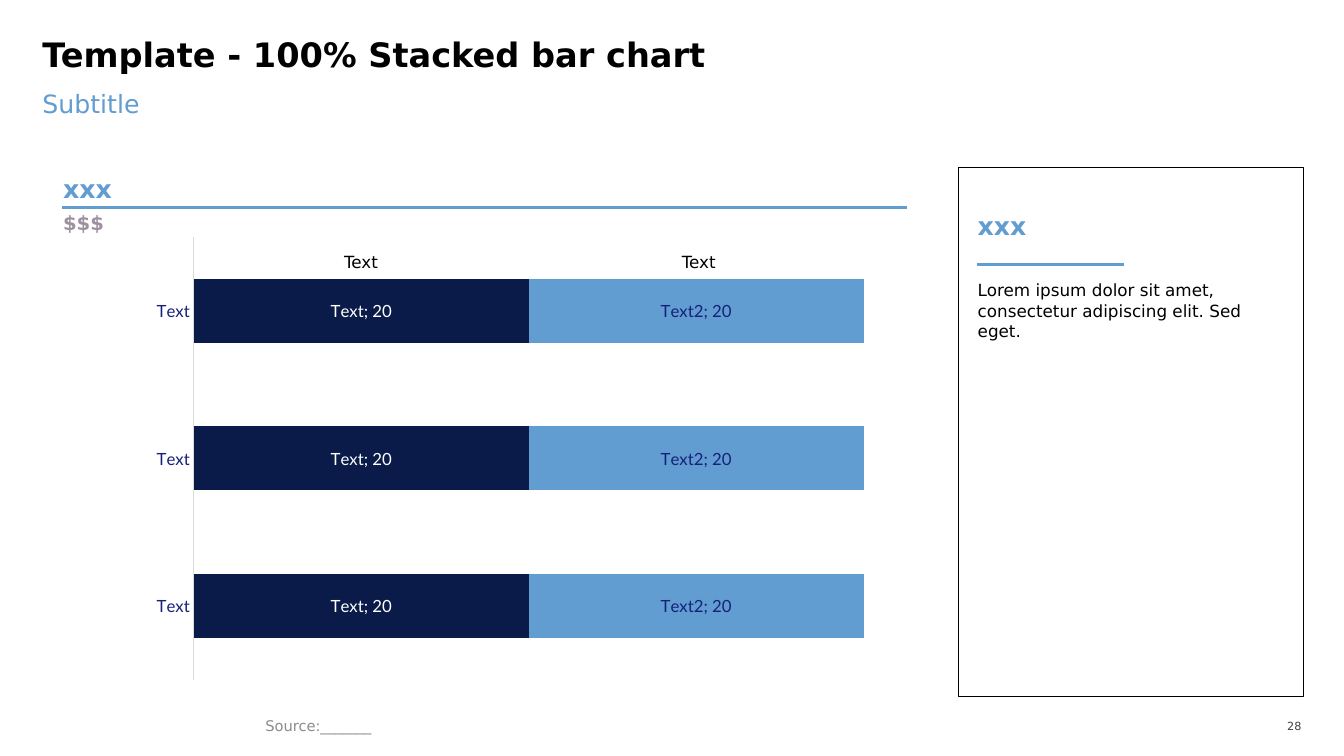
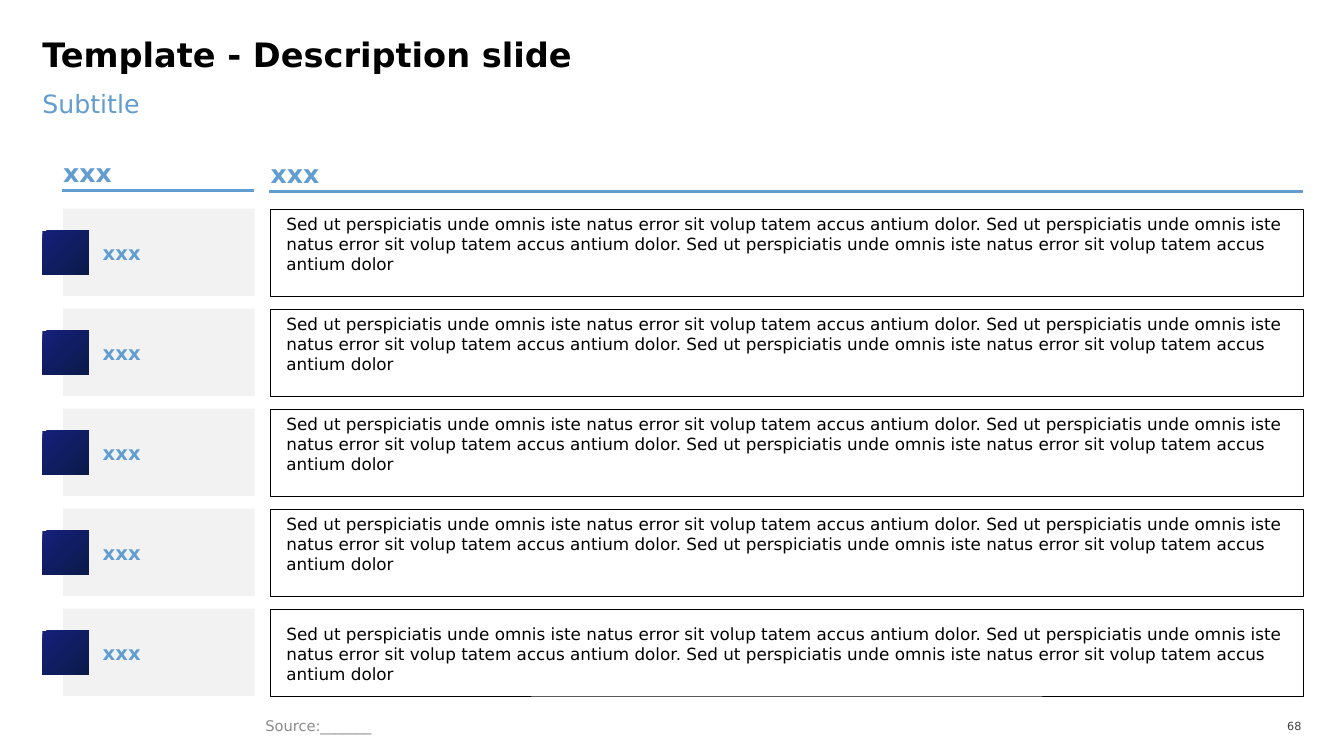
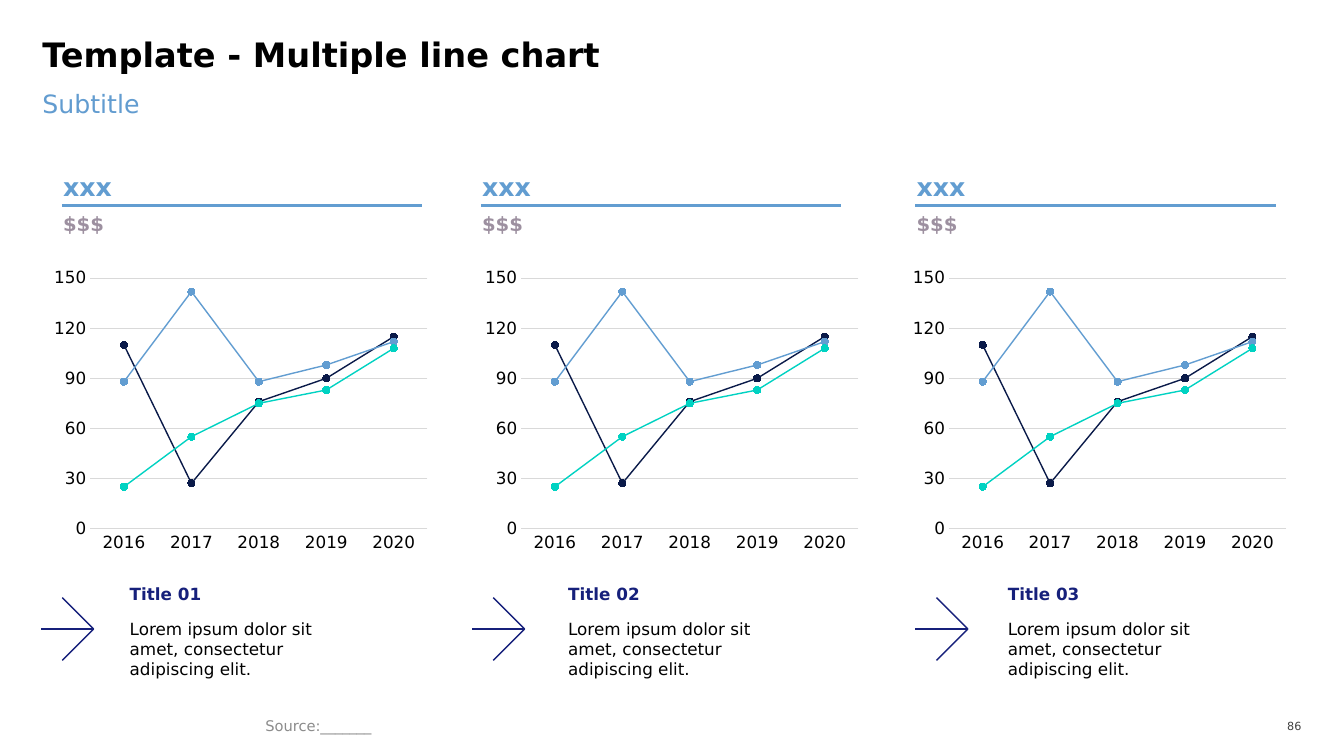
"""Build three template slides: stacked bar chart, description rows and line charts."""
from lxml import etree
from pptx import Presentation
from pptx.chart.data import CategoryChartData
from pptx.dml.color import RGBColor
from pptx.enum.chart import XL_CHART_TYPE, XL_MARKER_STYLE, XL_TICK_MARK
from pptx.enum.shapes import MSO_CONNECTOR, MSO_SHAPE
from pptx.enum.text import MSO_ANCHOR, PP_ALIGN
from pptx.oxml import parse_xml
from pptx.oxml.ns import nsdecls, qn
from pptx.util import Cm, Pt

LEFT, CENTER, RIGHT = PP_ALIGN.LEFT, PP_ALIGN.CENTER, PP_ALIGN.RIGHT
TOP, MIDDLE, BOTTOM = MSO_ANCHOR.TOP, MSO_ANCHOR.MIDDLE, MSO_ANCHOR.BOTTOM
STRAIGHT, RECT = MSO_CONNECTOR.STRAIGHT, MSO_SHAPE.RECTANGLE
BARS, LINES = XL_CHART_TYPE.BAR_STACKED_100, XL_CHART_TYPE.LINE_MARKERS
NO_TICK, CIRCLE = XL_TICK_MARK.NONE, XL_MARKER_STYLE.CIRCLE

FONT = "DejaVu Sans"
CHART_FONT = "Lato"
COLORS = {
    name: RGBColor.from_string(value)
    for name, value in {
        "black": "000000",
        "white": "FFFFFF",
        "number": "404040",
        "subtitle": "629CD0",
        "sky": "629DD1",
        "navy": "0A1A49",
        "indigo": "16207B",
        "teal": "00D2C2",
        "mauve": "9D90A0",
        "source": "8C8C8C",
        "panel": "F2F2F2",
        "grid": "D9D9D9",
    }.items()
}
HEADING = {"size": 18, "color": "sky", "bold": True, "anchor": BOTTOM}
UNIT = {"size": 14, "color": "mauve", "bold": True}
CAPTION_INSET = (0, 0.13, 0.25, 0.13)


def write(s, text, x, y, w, h, size=12, color="black", bold=False, align=LEFT, anchor=TOP,
          inset=(0, 0, 0, 0), spacing=None, fill=None, line=None):
    box = Cm(x), Cm(y), Cm(w), Cm(h)
    if fill or line:
        sp = s.shapes.add_shape(RECT, *box)
        sp.shadow.inherit = False
        sp.fill.background()
        sp.line.fill.background()
    else:
        sp = s.shapes.add_textbox(*box)
    if fill:
        sp.fill.solid()
        sp.fill.fore_color.rgb = COLORS[fill]
    if line:
        sp.line.color.rgb = COLORS[line]
        sp.line.width = Pt(0.25)
    tf = sp.text_frame
    tf.word_wrap = True
    tf.vertical_anchor = anchor
    tf.margin_left, tf.margin_top, tf.margin_right, tf.margin_bottom = map(Cm, inset)
    p = tf.paragraphs[0]
    p.alignment = align
    p.line_spacing = spacing
    if text:
        r = p.add_run()
        r.text = text
        r.font.name = FONT
        r.font.size = Pt(size)
        r.font.bold = bold
        r.font.color.rgb = COLORS[color]
    return sp


def rule(s, x1, y1, x2, y2, color="sky", width=2.25):
    cxn = s.shapes.add_connector(STRAIGHT, Cm(x1), Cm(y1), Cm(x2), Cm(y2))
    cxn.line.color.rgb = COLORS[color]
    cxn.line.width = Pt(width)
    etree.SubElement(cxn._element.spPr, qn("a:effectLst"))


prs = Presentation()
prs.slide_width, prs.slide_height = Cm(33.87), Cm(19.05)

slides = []
for title, number in [
    ("Template - 100% Stacked bar chart", "28"),
    ("Template - Description slide", "68"),
    ("Template - Multiple line chart", "86"),
]:
    s = prs.slides.add_slide(prs.slide_layouts[6])
    write(s, title, 1.07, 1.05, 31.72, 1.35, size=24, bold=True, spacing=0.8)
    write(s, "Subtitle", 1.07, 2.22, 31.72, 1.6, size=18, color="subtitle")
    write(s, "Source:_______", 6.44, 17.96, 16.23, 0.66, size=10.5, color="source",
          anchor=MIDDLE, inset=(0.25, 0.13, 0.25, 0.13))
    write(s, number, 31.73, 18.01, 1.07, 0.58, size=8, color="number", align=RIGHT, anchor=MIDDLE)
    slides.append(s)
bar_slide, description_slide, line_slide = slides

s = bar_slide
data = CategoryChartData()
data.categories = ["Text"] * 3
for name in ("Text", "Text2"):
    data.add_series(name, [20] * 3)
chart = s.shapes.add_chart(BARS, Cm(1.51), Cm(5.59), Cm(21.37), Cm(11.93), data).chart
chart.has_legend = chart.has_title = False
chart.font.name = CHART_FONT
chart.font.size = Pt(12)
chart.font.color.rgb = COLORS["indigo"]
chart.value_axis.visible = False
chart.value_axis.has_major_gridlines = False
chart.category_axis.major_tick_mark = NO_TICK
chart.category_axis.format.line.color.rgb = COLORS["grid"]
chart.category_axis.format.line.width = Pt(0.75)
plot = chart.plots[0]
plot.gap_width, plot.overlap, plot.vary_by_categories = 130, 100, False
for series, color, label_color in zip(plot.series, ("navy", "sky"), ("white", "indigo")):
    series.format.fill.solid()
    series.format.fill.fore_color.rgb = COLORS[color]
    labels = series.data_labels
    labels.show_value = labels.show_series_name = True
    labels.font.name = CHART_FONT
    labels.font.size = Pt(12)
    labels.font.color.rgb = COLORS[label_color]
    separator = parse_xml(f"<c:separator {nsdecls('c')}>; </c:separator>")
    labels._element.find(qn("c:showBubbleSize")).addnext(separator)
plot_area = chart._chartSpace.chart.plotArea
for old in plot_area.findall(qn("c:layout")):
    plot_area.remove(old)
plot_area.insert(0, parse_xml(
    f"<c:layout {nsdecls('c')}><c:manualLayout>"
    '<c:layoutTarget val="inner"/><c:xMode val="edge"/><c:yMode val="edge"/>'
    '<c:x val="0.158"/><c:y val="0.032"/><c:w val="0.79"/><c:h val="0.935"/>'
    "</c:manualLayout></c:layout>"
))
write(s, "xxx", 1.59, 4.27, 7.44, 0.86, **HEADING)
rule(s, 1.56, 5.22, 22.86, 5.22)
write(s, "$$$", 1.59, 5.31, 3.35, 0.86, **UNIT)
for x in (5.38, 13.89):
    write(s, "Text", x, 6.34, 7.44, 0.51, align=CENTER, anchor=BOTTOM)
write(s, "", 24.16, 4.22, 8.69, 13.33, line="black")
write(s, "xxx", 24.64, 5.21, 7.44, 0.86, **HEADING)
rule(s, 24.61, 6.67, 28.32, 6.67)
write(s, "Lorem ipsum dolor sit amet, consectetur adipiscing elit. Sed eget.", 24.64, 7.06, 7.44, 1.55)

s = description_slide
for x, y, end in [(1.59, 3.86, 6.4), (6.82, 3.89, 32.84)]:
    write(s, "xxx", x, y, 7.44, 0.86, **HEADING)
    rule(s, x - 0.03, y + 0.94, end, y + 0.94)
sentence = "Sed ut perspiciatis unde omnis iste natus error sit volup tatem accus antium dolor"
description = ". ".join([sentence] * 3)
ROWS = 5
for row in range(ROWS):
    y = 5.26 + 2.52 * row
    last = row == ROWS - 1
    write(s, "xxx", 1.59, y, 4.83, 2.2, size=14, color="sky", bold=True, anchor=MIDDLE,
          inset=(1, 0.1, 0.25, 0.1), fill="panel")
    write(s, description, 6.81, y, 26.03, 2.2, anchor=MIDDLE if last else TOP,
          inset=(0.41, 0.2 if last else 0.13, 0.4, 0.13), line="black")
    square = write(s, "", 1.07, y + 0.56, 1.17, 1.09, fill="indigo")
    square.fill.gradient()
    square.fill.gradient_angle = 315
    for stop, color in zip(square.fill.gradient_stops, ("indigo", "navy")):
        stop.color.rgb = COLORS[color]

s = line_slide
data = CategoryChartData()
data.categories = ["2016", "2017", "2018", "2019", "2020"]
data.add_series("Series 1", [110, 27, 76, 90, 115])
data.add_series("Series 2", [88, 142, 88, 98, 112])
data.add_series("Series 3", [25, 55, 75, 83, 108])
columns = [
    ("Title 01", 1.17, 1.59, 3.27, 1.04),
    ("Title 02", 12.03, 12.15, 14.32, 11.9),
    ("Title 03", 22.81, 23.1, 25.4, 23.07),
]
for title, chart_x, heading_x, caption_x, arrow_x in columns:
    write(s, "xxx", heading_x, 4.22, 7.44, 0.86, **HEADING)
    rule(s, heading_x - 0.03, 5.18, heading_x + 9.05, 5.18)
    write(s, "$$$", heading_x, 5.33, 3.35, 0.86, **UNIT)

    chart = s.shapes.add_chart(LINES, Cm(chart_x), Cm(6.61), Cm(9.8), Cm(7.46), data).chart
    chart.has_legend = chart.has_title = False
    chart.font.name = FONT
    chart.font.size = Pt(12)
    chart.font.color.rgb = COLORS["black"]
    category_axis, value_axis = chart.category_axis, chart.value_axis
    category_axis.major_tick_mark = value_axis.major_tick_mark = NO_TICK
    value_axis.minimum_scale, value_axis.maximum_scale, value_axis.major_unit = 0, 150, 30
    value_axis.format.line.fill.background()
    for line in (category_axis.format.line, value_axis.major_gridlines.format.line):
        line.color.rgb = COLORS["grid"]
        line.width = Pt(0.75)
    plot = chart.plots[0]
    plot.vary_by_categories = False
    for series, color in zip(plot.series, ("navy", "sky", "teal")):
        series.smooth = False
        series.format.line.color.rgb = COLORS[color]
        series.format.line.width = Pt(1)
        series.marker.style = CIRCLE
        series.marker.size = 5
        series.marker.format.fill.solid()
        series.marker.format.fill.fore_color.rgb = COLORS[color]
        series.marker.format.line.color.rgb = COLORS[color]

    tip_x, tip_y = arrow_x + 1.32, 15.85
    rule(s, arrow_x, tip_y, tip_x, tip_y, "indigo", 1)
    for barb_y in (tip_y - 0.79, tip_y + 0.79):
        rule(s, arrow_x + 0.53, barb_y, tip_x, tip_y, "indigo", 1)
    write(s, title, caption_x, 14.57, 3.81, 0.79, color="indigo", bold=True, anchor=BOTTOM,
          inset=CAPTION_INSET)
    write(s, "Lorem ipsum dolor sit amet, consectetur adipiscing elit.", caption_x, 15.46, 5.28, 2.31,
          inset=CAPTION_INSET)

prs.save("out.pptx")
